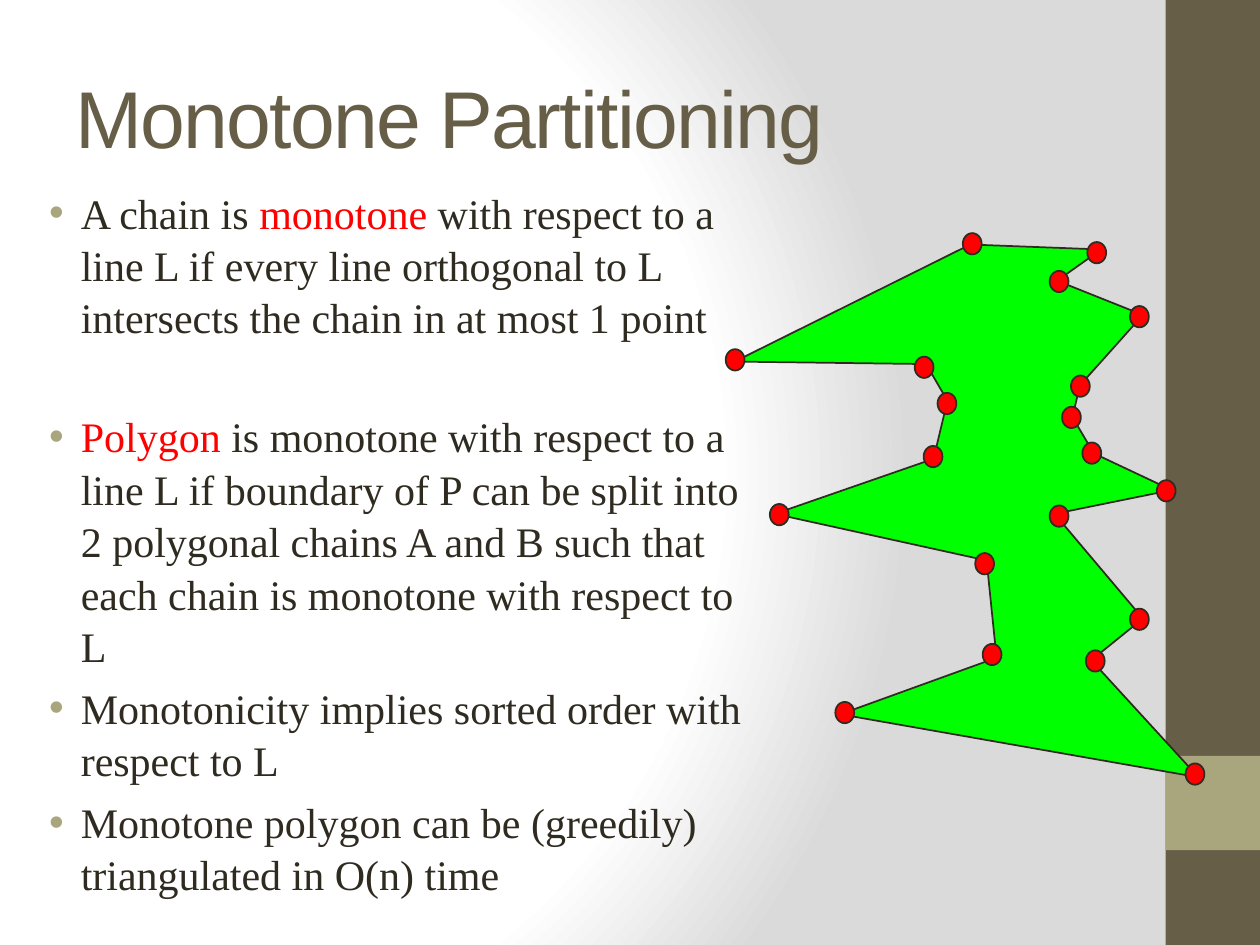
from dataclasses import dataclass

from lxml import etree
from pptx import Presentation, util as u
from pptx.dml.color import RGBColor
from pptx.enum import shapes, text
from pptx.oxml import ns, parse_xml


@dataclass(frozen=True)
class Theme:
    """Colours, fonts and type sizes of the slide."""
    brown: str = "675E47"
    sand: str = "A9A57C"
    ink: str = "2F2B20"
    red: str = "FF0000"
    green: str = "00FF00"
    white: str = "FFFFFF"
    grey: str = "DADADA"
    head: str = "Arial"
    body: str = "Times New Roman"
    big: int = 46
    small: int = 24


T = Theme()

BULLETS = [
    (0, [("A chain is ", T.ink), ("monotone", T.red),
         (" with respect to a line L if every line orthogonal to L "
          "intersects the chain in at most 1 point", T.ink)]),
    (38, [("Polygon", T.red),
          (" is monotone with respect to a line L if boundary of P can be "
           "split into 2 polygonal chains A and B such that each chain is "
           "monotone with respect to L", T.ink)]),
    (5.4, [("Monotonicity implies sorted order with respect to L", T.ink)]),
    (5.4, [("Monotone polygon can be (greedily) triangulated in O(n) time",
            T.ink)]),
]

CORNERS = [
    (19.56, 4.93), (14.81, 7.29), (18.67, 7.34), (19.1, 8.08),
    (18.82, 9.25), (15.62, 10.36), (19.89, 11.3), (20.09, 13.26),
    (16.94, 14.4), (24.16, 15.67), (22, 13.31), (23.04, 12.47),
    (21.26, 10.36), (23.62, 9.88), (22.05, 9.14), (21.62, 8.41),
    (21.77, 7.77), (23.04, 6.35), (21.31, 5.66), (22.2, 5.03),
]

DOTS = [
    (19.41, 4.7), (14.63, 7.04), (18.44, 7.19), (18.9, 7.92),
    (18.62, 8.99), (15.52, 10.16), (19.66, 11.15), (19.81, 12.98),
    (16.84, 14.15), (23.9, 15.39), (21.89, 13.11), (22.78, 12.27),
    (21.16, 10.19), (23.32, 9.68), (21.82, 8.92), (21.41, 8.2),
    (21.59, 7.57), (22.78, 6.17), (21.16, 5.46), (21.92, 4.88),
]


def rgb(code):
    """Turn a hex code into a colour."""
    return RGBColor.from_string(code)


def cm(*nums):
    """Turn numbers into a list of lengths."""
    return [u.Cm(n) for n in nums]


def paint(shape, fill, line=None):
    """Give a shape a plain fill and an optional thin outline."""
    shape.shadow.inherit = False
    shape.fill.solid()
    shape.fill.fore_color.rgb = rgb(fill)
    if line:
        shape.line.color.rgb = rgb(line)
        shape.line.width = u.Pt(1)
    else:
        shape.line.fill.background()


def add_back(slide):
    """Fill the background with a round gradient."""
    slide.background.fill.solid()
    stops = "".join(
        f'<a:gs pos="{pos}000"><a:srgbClr val="{code}"/></a:gs>'
        for pos, code in ((0, T.white), (75, T.white), (100, T.grey)))
    grad = parse_xml(
        f'<a:gradFill {ns.nsdecls("a")} rotWithShape="1">'
        f'<a:gsLst>{stops}</a:gsLst><a:path path="circle">'
        '<a:fillToRect l="20000" t="50000" r="100000" b="50000"/>'
        '</a:path></a:gradFill>')
    solid = slide.background._cSld.find(".//" + ns.qn("a:solidFill"))
    solid.getparent().replace(solid, grad)


def add_bar(slide, top, height, fill):
    """Add a block of the right-hand band."""
    bar = slide.shapes.add_shape(shapes.MSO_SHAPE.RECTANGLE,
                                 *cm(23.5, top, 1.9, height))
    paint(bar, fill)


def add_box(slide, *place):
    """Add a wrapping text box and return its frame."""
    frame = slide.shapes.add_textbox(*cm(*place)).text_frame
    frame.word_wrap = True
    return frame


def add_run(para, words, font, size, code):
    """Add one run of styled text."""
    run = para.add_run()
    run.text = words
    run.font.name = font
    run.font.size = u.Pt(size)
    run.font.color.rgb = rgb(code)
    return run


def add_title(slide, words):
    """Add the slide heading."""
    frame = add_box(slide, 1.27, 0.76, 21.16, 3.18)
    frame.vertical_anchor = text.MSO_ANCHOR.MIDDLE
    run = add_run(frame.paragraphs[0], words, T.head, T.big, T.brown)
    run._r.get_or_add_rPr().set("spc", "-100")


def set_bullet(para):
    """Give a paragraph a hanging sand-coloured bullet."""
    props = para._p.get_or_add_pPr()
    props.set("marL", str(u.Cm(0.95)))
    props.set("indent", str(u.Cm(-0.64)))
    tint = etree.SubElement(props, ns.qn("a:buClr"))
    etree.SubElement(tint, ns.qn("a:srgbClr"), val=T.sand)
    etree.SubElement(props, ns.qn("a:buFont"), typeface=T.head)
    etree.SubElement(props, ns.qn("a:buChar"), char="•")


def add_list(slide):
    """Add the bulleted text."""
    frame = add_box(slide, 0.43, 3.61, 15.09, 13.23)
    for i, (gap, runs) in enumerate(BULLETS):
        para = frame.add_paragraph() if i else frame.paragraphs[0]
        set_bullet(para)
        para.line_spacing = 1.04
        para.space_before = u.Pt(gap)
        for words, code in runs:
            add_run(para, words, T.body, T.small, code)


def add_figure(slide):
    """Add the monotone polygon with a dot at each corner."""
    group = slide.shapes.add_group_shape().shapes
    first, *rest = [cm(*spot) for spot in CORNERS]
    pen = group.build_freeform(*first)
    pen.add_line_segments(rest, close=True)
    paint(pen.convert_to_shape(), T.green, T.ink)
    for x, y in DOTS:
        dot = group.add_shape(shapes.MSO_SHAPE.OVAL, *cm(x, y, 0.38, 0.43))
        paint(dot, T.red, T.ink)


def main():
    """Build and save the slide."""
    deck = Presentation()
    deck.slide_width, deck.slide_height = cm(25.4, 19.05)
    slide = deck.slides.add_slide(deck.slide_layouts[6])
    add_back(slide)
    add_bar(slide, 0, 19.05, T.brown)
    add_bar(slide, 15.24, 1.9, T.sand)
    add_title(slide, "Monotone Partitioning")
    add_list(slide)
    add_figure(slide)
    deck.save("out.pptx")


if __name__ == "__main__":
    main()
